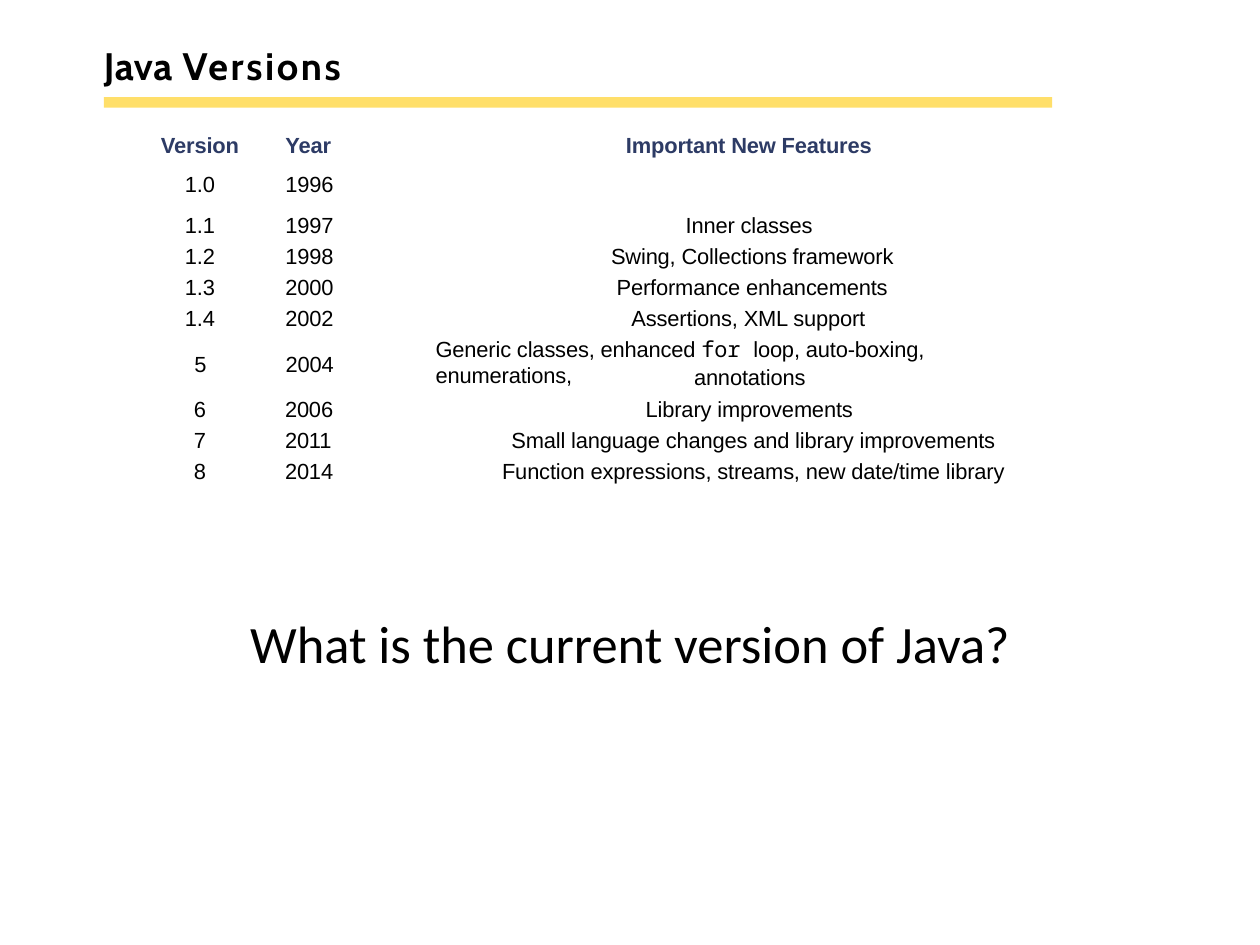
from pptx import Presentation
from pptx import util as u
from pptx.dml.color import RGBColor
from pptx.enum import shapes, text
from pptx.oxml.ns import qn

Pt = u.Pt
LEFT, CENTER, RIGHT = text.PP_ALIGN.LEFT, text.PP_ALIGN.CENTER, text.PP_ALIGN.RIGHT


class Theme:
    black = RGBColor.from_string("000000")
    navy = RGBColor.from_string("2D3B65")
    yellow = RGBColor.from_string("FFDF6A")
    title_font, body_font, code_font, question_font = "Cabin", "Arial", "Noto Sans Mono", "Calibri"
    title_size, body_size, question_size = 17.5, 10, 24
    body_tracking = -0.05
    plain_table = "{2D5ABB26-0587-4C30-8999-92F81FD0307C}"


# Content: version, year, feature, feature alignment, feature inset
early_versions = [
    ("Version\n1.0", "Year\n1996", "Important New Features", LEFT, 71.7),
    ("1.1", "1997", "Inner classes", LEFT, 99),
    ("1.2", "1998", "Swing, Collections framework", RIGHT, 0.5),
    ("1.3", "2000", "Performance enhancements", RIGHT, 3.2),
    ("1.4", "2002", "Assertions, XML support", LEFT, 74.2),
]
late_versions = [
    ("", "", "annotations", CENTER, 35.3),
    ("6", "2006", "Library improvements", LEFT, 105.1),
    ("7", "2011", "Small language changes and library improvements", RIGHT, 5.3),
    ("8", "2014", "Function expressions, streams, new date/time library", RIGHT, 1),
]
# Text lines outside the tables: left, top, width, height, runs of (text, font)
version_five = [
    (88.8, 160.4, 10, 13, [("5", Theme.body_font)]),
    (130.6, 160.4, 26, 13, [("2004", Theme.body_font)]),
    (199.2, 153.4, 280, 25, [
        ("Generic classes, enhanced ", Theme.body_font),
        ("for ", Theme.code_font),
        ("loop, auto-boxing, enumerations,", Theme.body_font),
    ]),
]

presentation = Presentation()
presentation.slide_width, presentation.slide_height = Pt(576), Pt(432)
slide = presentation.slides.add_slide(presentation.slide_layouts[6])


def style(run, font, size, color=Theme.black, bold=False, tracking=0):
    run.font.name, run.font.size, run.font.bold = font, Pt(size), bold
    run.font.color.rgb = color
    run._r.get_or_add_rPr().set("spc", str(round(tracking * 100)))


def add_text(left, top, width, height, inset=0):
    box = slide.shapes.add_textbox(Pt(left), Pt(top), Pt(width), Pt(height))
    frame = box.text_frame
    frame.word_wrap = True
    frame.margin_left = frame.margin_right = Pt(inset)
    frame.margin_top = frame.margin_bottom = Pt(inset / 2)
    return frame.paragraphs[0]


def add_run(paragraph, words, *args, **options):
    run = paragraph.add_run()
    run.text = words
    style(run, *args, **options)


def fill_cell(cell, words, alignment, inset, line_height):
    cell.fill.background()
    cell.margin_top = cell.margin_bottom = 0
    cell.margin_left = Pt(0 if alignment == RIGHT else inset)
    cell.margin_right = Pt(inset if alignment == RIGHT else 0)
    cell.text_frame.text = words
    for index, paragraph in enumerate(cell.text_frame.paragraphs):
        header = line_height is None and index == 0
        paragraph.alignment = alignment
        if line_height is None:
            paragraph.space_before = Pt(2.6 if header else 6.8)
        else:
            paragraph.line_spacing = Pt(line_height)
        for run in paragraph.runs:
            style(run, Theme.body_font, Theme.body_size, Theme.navy if header else Theme.black,
                  header, Theme.body_tracking)
        if not paragraph.runs:
            paragraph._p.get_or_add_endParaRPr().set("sz", str(Theme.body_size * 100))


def add_version_table(left, top, widths, heights, rows, version_place, year_inset, first_line):
    table = slide.shapes.add_table(len(rows), len(widths), Pt(left), Pt(top),
                                   Pt(sum(widths)), Pt(sum(heights))).table
    table.first_row = table.horz_banding = False
    table._tbl.tblPr.find(qn("a:tableStyleId")).text = Theme.plain_table
    for column, width in zip(table.columns, widths):
        column.width = Pt(width)
    for index, (version, year, feature, alignment, inset) in enumerate(rows):
        table.rows[index].height = Pt(heights[index])
        line_height = first_line if index == 0 else 11.8
        places = [(version, *version_place), (year, LEFT, year_inset), (feature, alignment, inset)]
        for column, place in enumerate(places):
            fill_cell(table.cell(index, column), *place, line_height)
    return table


# Title and rule
title = add_text(47.5, 19.4, 482, 21)
for words, tracking in (("Java ", 0.3), ("Versions", 1.2)):
    add_run(title, words, Theme.title_font, Theme.title_size, bold=True, tracking=tracking)
rule = slide.shapes.add_shape(shapes.MSO_SHAPE.RECTANGLE, Pt(47.5), Pt(44.4), Pt(433.5), Pt(4.8))
rule.shadow.inherit = False
rule.fill.solid()
rule.fill.fore_color.rgb = Theme.yellow
rule.line.fill.background()

# Versions 1.0 to 1.4
early = add_version_table(71.3, 61.2, [48.2, 95, 194.4], [36] + [14.2] * 4, early_versions,
                          (CENTER, 0), 11, None)
for row in early.rows:
    row.cells[0].margin_right = Pt(8)

# Versions 6 to 8
late = add_version_table(87.1, 168.8, [25.2, 77.8, 270], [12.2, 14.2, 14.2, 17], late_versions,
                         (LEFT, 1.5), 18, 9.7)
late.cell(0, 0).merge(late.cell(0, 1))

# Version 5, in front of the tables
for *place, runs in version_five:
    paragraph = add_text(*place)
    for words, font in runs:
        add_run(paragraph, words, font, Theme.body_size, tracking=Theme.body_tracking)

# Question
question = add_text(101.5, 275.8, 373, 36, inset=7.2)
question.alignment = CENTER
add_run(question, "What is the current version of Java?", Theme.question_font, Theme.question_size)

presentation.save("out.pptx")
